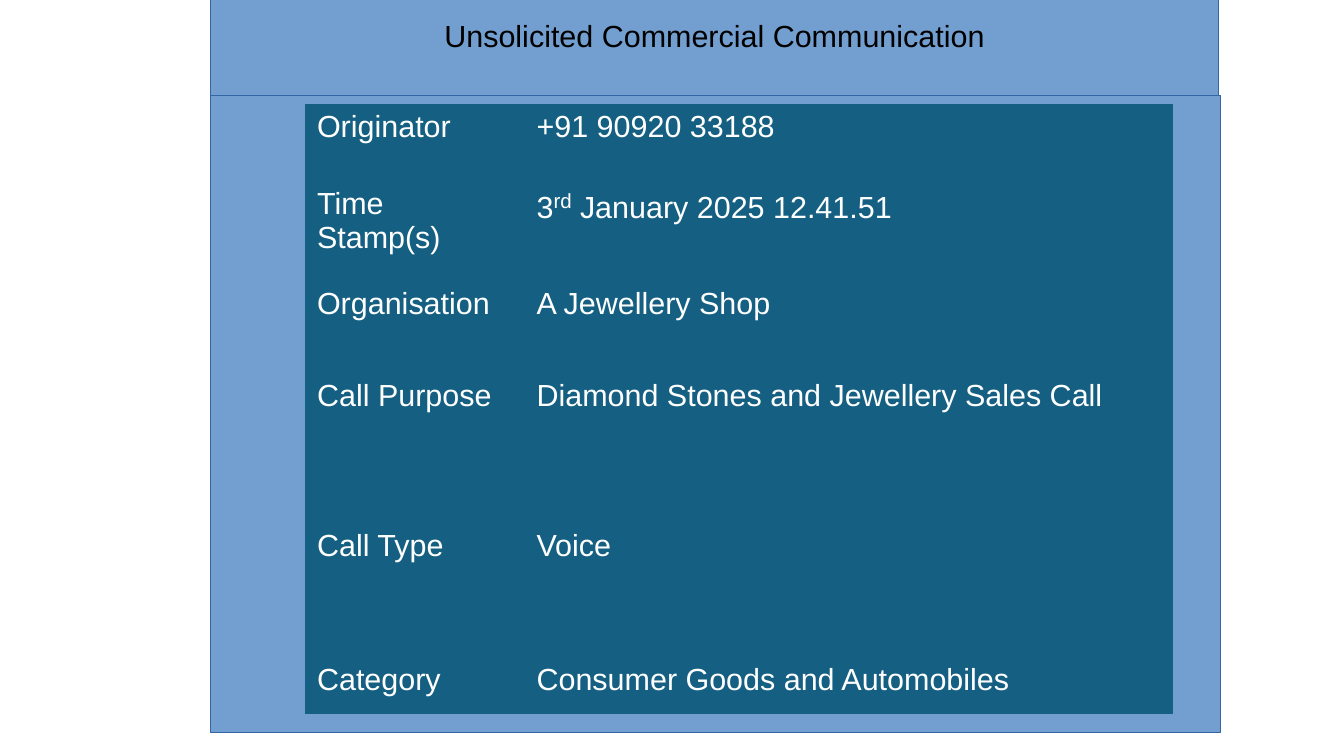
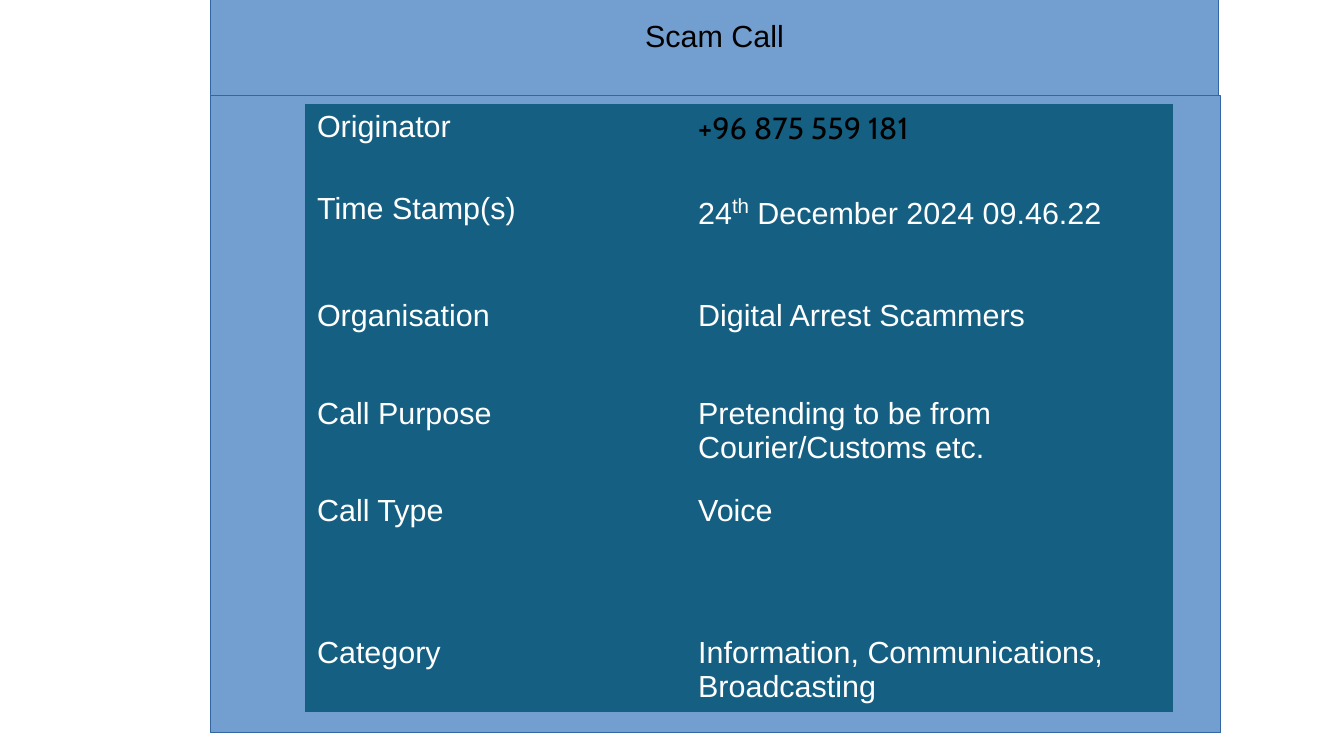
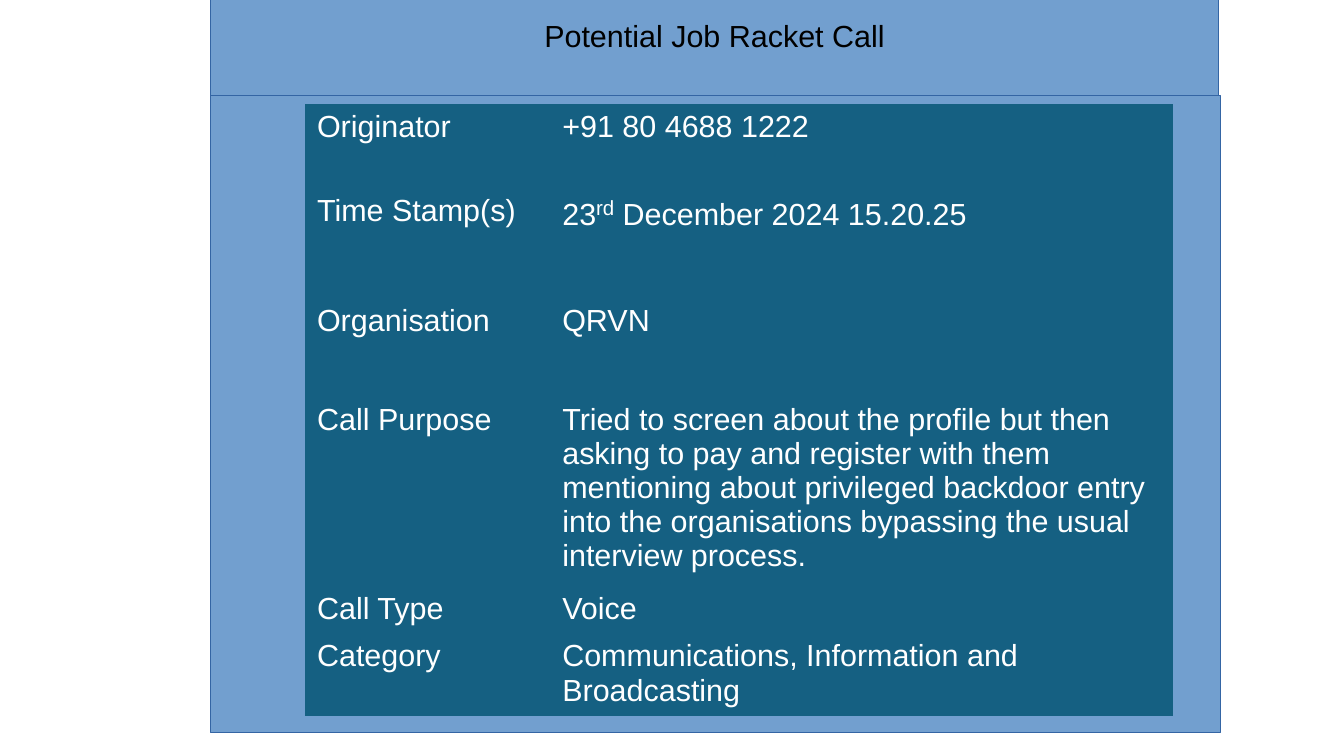
from pptx import Presentation
from pptx.dml.color import RGBColor
from pptx.enum.shapes import MSO_SHAPE
from pptx.enum.text import MSO_ANCHOR, PP_ALIGN
from pptx.oxml.ns import qn
from pptx.util import Pt

RECT = MSO_SHAPE.RECTANGLE
MIDDLE = MSO_ANCHOR.MIDDLE
CENTER = PP_ALIGN.CENTER

BLACK = RGBColor(0x00, 0x00, 0x00)
WHITE = RGBColor(0xFF, 0xFF, 0xFF)
SKY = RGBColor(0x72, 0x9F, 0xCF)
EDGE = RGBColor(0x34, 0x65, 0xA4)
TEAL = RGBColor(0x15, 0x60, 0x82)

FONT = "Arial"
SIZE = 18
SUPER = 20.8
PLAIN_STYLE = "{2D5ABB26-0587-4C30-8999-92F81FD0307C}"

WIDE, HIGH = 793.5, 446.4
BAND = (124.4, -14.4, 595, 71)
PANEL = (124.4, 56.6, 596, 376)
LEFT, TOP, SPAN = 180, 61.3, 512.8

LABELS = ["Originator", "Time Stamp(s)", "Organisation",
          "Call Purpose", "Call Type", "Category"]

# A tuple value holds a day, its raised ending and the rest of the date.
CALLS = [
    {
        "title": "Unsolicited Commercial Communication",
        "label_width": 129.6,
        "heights": [45.4, 59.2, 54, 88.6, 79.2, 33.8],
        "values": [
            "+91 90920 33188",
            ("3", "rd", " January 2025 12.41.51"),
            "A Jewellery Shop",
            "Diamond Stones and Jewellery Sales Call",
            "Voice",
            "Consumer Goods and Automobiles",
        ],
    },
    {
        "title": "Scam Call",
        "label_width": 225,
        "heights": [48.6, 63.2, 57.4, 57.4, 84.2, 48.2],
        "values": [
            "+96 875 559 181",
            ("24", "th", " December 2024 09.46.22"),
            "Digital Arrest Scammers",
            "Pretending to be from Courier/Customs etc.",
            "Voice",
            "Information, Communications, Broadcasting",
        ],
        "phone": ("Cabin", BLACK),
    },
    {
        "title": "Potential Job Racket Call",
        "label_width": 144.8,
        "heights": [49.6, 64.8, 58.4, 111.6, 28.2, 49],
        "values": [
            "+91 80 4688 1222",
            ("23", "rd", " December 2024 15.20.25"),
            "QRVN",
            "Tried to screen about the profile but then asking to pay and "
            "register with them mentioning about privileged backdoor entry "
            "into the organisations bypassing the usual interview process.",
            "Voice",
            "Communications, Information and Broadcasting",
        ],
    },
]


def style(run, color, name=FONT, size=SIZE):
    run.font.name = name
    run.font.size = Pt(size)
    run.font.color.rgb = color


def add_box(slide, place):
    box = slide.shapes.add_shape(RECT, *map(Pt, place))
    box.shadow.inherit = False
    box.fill.solid()
    box.fill.fore_color.rgb = SKY
    box.line.color.rgb = EDGE
    box.line.width = Pt(0)
    return box


def add_title(slide, text):
    frame = add_box(slide, BAND).text_frame
    frame.text = text
    frame.word_wrap = True
    frame.vertical_anchor = MIDDLE
    line = frame.paragraphs[0]
    line.alignment = CENTER
    style(line.runs[0], BLACK)


def fill_cell(cell, value, name=FONT, color=WHITE):
    cell.fill.solid()
    cell.fill.fore_color.rgb = TEAL
    line = cell.text_frame.paragraphs[0]
    parts = value if isinstance(value, tuple) else (value,)
    for index, part in enumerate(parts):
        run = line.add_run()
        run.text = part
        raised = index == 1
        style(run, color, name, SUPER if raised else SIZE)
        if raised:
            run.font._element.set("baseline", "30000")


def add_details(slide, call):
    heights = call["heights"]
    frame = slide.shapes.add_table(len(LABELS), 2, Pt(LEFT), Pt(TOP),
                                   Pt(SPAN), Pt(sum(heights)))
    table = frame.table
    table.first_row = table.horz_banding = False
    table._tbl.tblPr.find(qn("a:tableStyleId")).text = PLAIN_STYLE
    table.columns[0].width = Pt(call["label_width"])
    table.columns[1].width = Pt(SPAN - call["label_width"])
    phone = call.get("phone", (FONT, WHITE))
    for row, (label, value) in enumerate(zip(LABELS, call["values"])):
        table.rows[row].height = Pt(heights[row])
        fill_cell(table.cell(row, 0), label)
        look = phone if label == "Originator" else (FONT, WHITE)
        fill_cell(table.cell(row, 1), value, *look)


def main():
    deck = Presentation()
    deck.slide_width, deck.slide_height = Pt(WIDE), Pt(HIGH)
    for call in CALLS:
        slide = deck.slides.add_slide(deck.slide_layouts[6])
        add_title(slide, call["title"])
        add_box(slide, PANEL)
        add_details(slide, call)
    deck.save("out.pptx")


if __name__ == "__main__":
    main()
